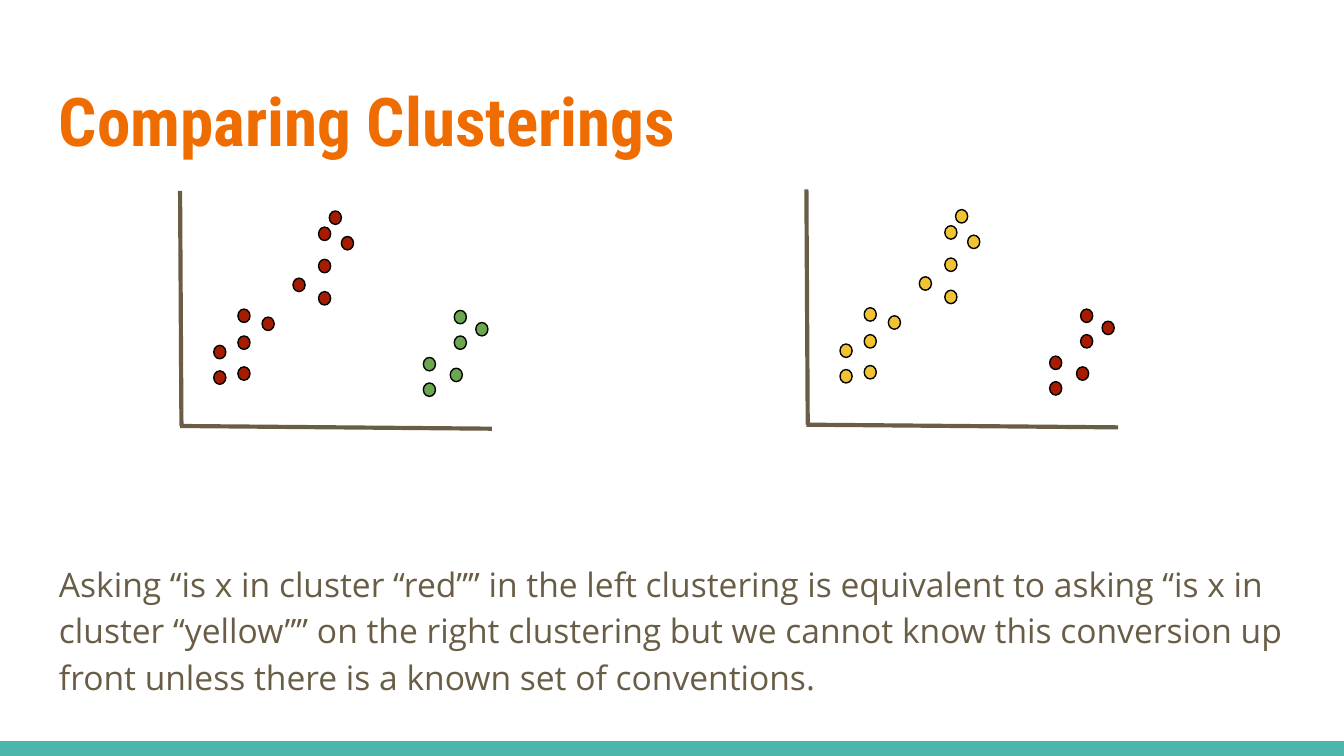
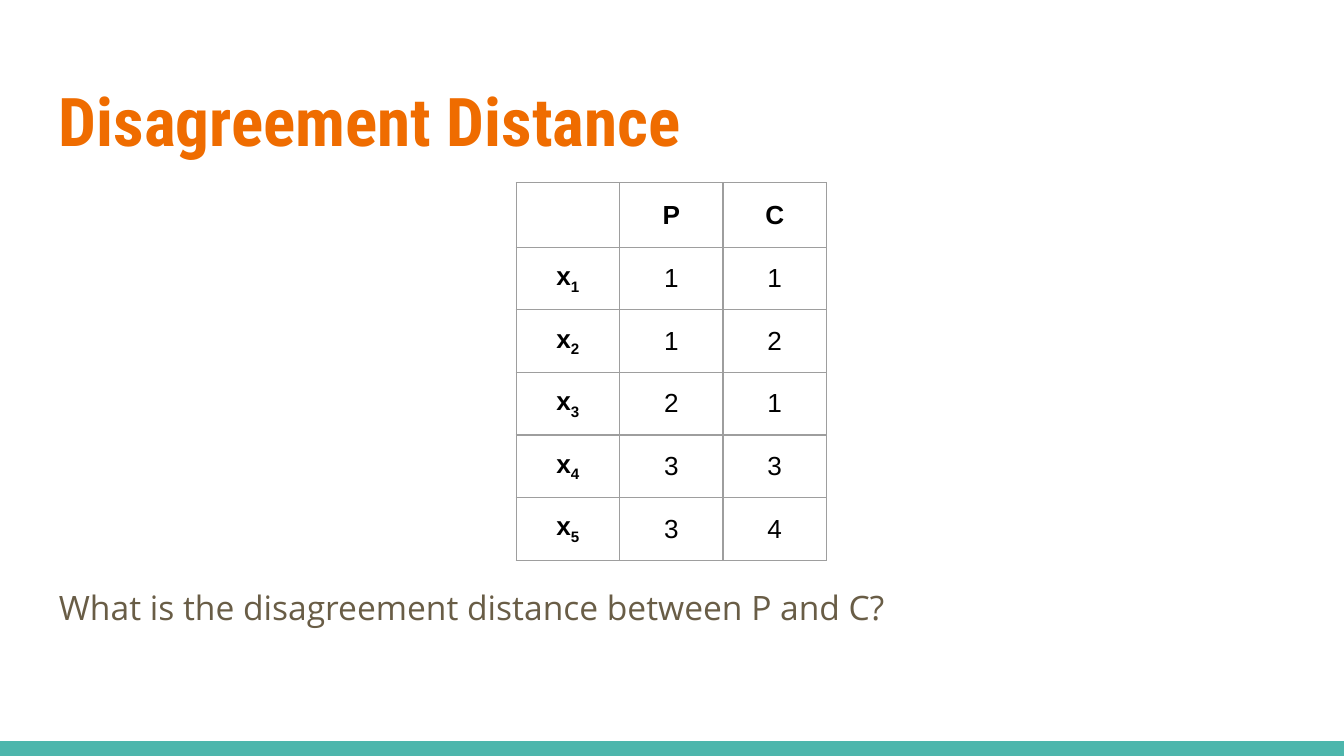
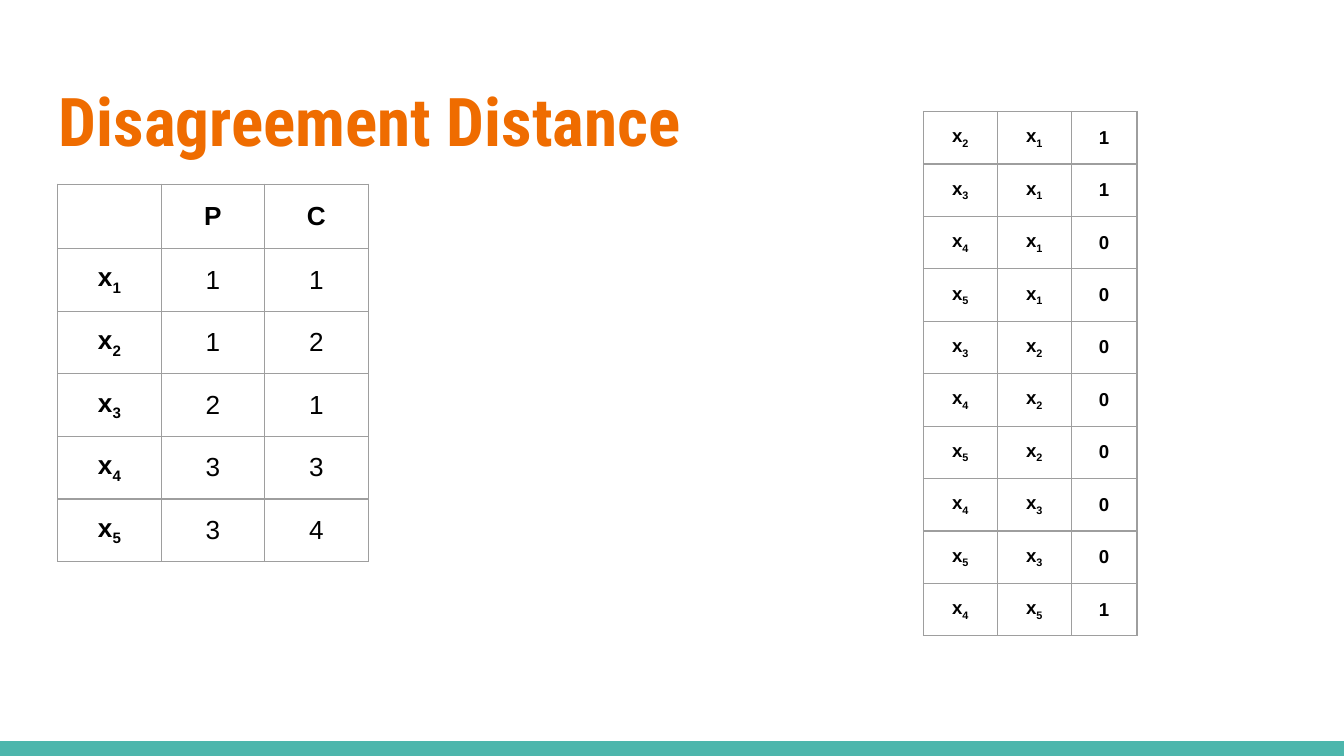
from lxml.etree import SubElement as Sub
from pptx import Presentation as Deck
from pptx.dml.color import RGBColor as RGB
from pptx.enum.shapes import MSO_CONNECTOR as LINK, MSO_SHAPE as FORM
from pptx.enum.text import MSO_ANCHOR as ANCHOR, PP_ALIGN as ALIGN
from pptx.oxml import parse_xml as to_xml
from pptx.oxml.ns import nsdecls, qn
from pptx.util import Inches, Pt

ORANGE = RGB(0xEF, 0x6C, 0x00)
BROWN = RGB(0x69, 0x5D, 0x46)
TEAL = RGB(0x4D, 0xB6, 0xAC)
RED = RGB(0xA6, 0x1C, 0x00)
GREEN = RGB(0x6A, 0xA8, 0x4F)
YELLOW = RGB(0xF1, 0xC2, 0x32)
BLACK = RGB(0, 0, 0)
GRAY = "9E9E9E"

COLS, ROWS = 100, 56.25  # grid of square units, ten to the inch

# Dot places, in grid units from the top of a plot's upright axis
LARGE = [(4.3, 13.1), (4.3, 8.8), (6.1, 9.4), (10.3, 2.7), (4.3, 10.8), (2.5, 11.5),
         (12, 3.4), (10.3, 5.1), (11.1, 1.5), (8.4, 6.5), (10.3, 7.5), (2.5, 13.4)]
SMALL = [(18.1, 12.4), (20.1, 13.2), (20.4, 10.8), (22, 9.8), (18.1, 14.3), (20.4, 8.9)]

LABELS = [["", "P", "C"], ["x1", "1", "1"], ["x2", "1", "2"],
          ["x3", "2", "1"], ["x4", "3", "3"], ["x5", "3", "4"]]
PAIRS = [["x2", "x1", "1"], ["x3", "x1", "1"], ["x4", "x1", "0"], ["x5", "x1", "0"],
         ["x3", "x2", "0"], ["x4", "x2", "0"], ["x5", "x2", "0"],
         ["x4", "x3", "0"], ["x5", "x3", "0"], ["x4", "x5", "1"]]


def unit(*sizes):
    return [Inches(size / 10) for size in sizes]


def pad(item):
    """Give a text frame or a cell the common inset."""
    item.margin_left = item.margin_right = Inches(0.1)
    item.margin_top = item.margin_bottom = Inches(0.1)


def style(run, face, size, color, bold=False):
    font = run.font
    font.name, font.size, font.bold = face, Pt(size), bold
    font.color.rgb = color


class Show:
    def __init__(self):
        self.deck = Deck()
        self.deck.slide_width, self.deck.slide_height = unit(COLS, ROWS)

    def page(self, title):
        self.slide = self.deck.slides.add_slide(self.deck.slide_layouts[6])
        self.shapes = self.slide.shapes
        self.form(FORM.RECTANGLE, 0, ROWS - 1.1, COLS, 1.1, TEAL)
        self.text(title, 4.9, 7.7, "Roboto Condensed", 36, ORANGE, True)

    def form(self, kind, x, y, w, h, color, edge=None):
        shape = self.shapes.add_shape(kind, *unit(x, y, w, h))
        shape.shadow.inherit = False
        shape.fill.solid()
        shape.fill.fore_color.rgb = color
        if edge is None:
            shape.line.fill.background()
        else:
            shape.line.color.rgb = edge
            shape.line.width = Pt(0.75)

    def text(self, words, y, h, face, size, color, bold=False):
        """Add a full-width text box and return its paragraph."""
        frame = self.shapes.add_textbox(*unit(3.4, y, 93.2, h)).text_frame
        frame.word_wrap = True
        pad(frame)
        frame.text = words
        para = frame.paragraphs[0]
        style(para.runs[0], face, size, color, bold)
        return para

    def body(self, words, y, h):
        para = self.text(words, y, h, "Open Sans", 18, BROWN)
        para.line_spacing = 1.15
        para.space_after = Pt(16)

    def line(self, *ends):
        link = self.shapes.add_connector(LINK.STRAIGHT, *unit(*ends))
        link.line.color.rgb = BROWN
        link.line.width = Pt(2.25)
        Sub(link._element.spPr, qn("a:effectLst"))

    def plot(self, x, y, large, small):
        """Draw two axes and both clusters in the given colours."""
        for color, spots in ((large, LARGE), (small, SMALL)):
            for dx, dy in spots:
                self.form(FORM.OVAL, x + dx, y + dy, 0.9, 1, color, BLACK)
        self.line(x, y, x + 0.1, y + 17.5)
        self.line(x, y + 17.5, x + 23.2, y + 17.7)

    def table(self, data, x, y, wide, high, size, strong=False):
        """Add a table; strong makes every cell bold."""
        frame = self.shapes.add_table(len(data), len(wide),
                                      *unit(x, y, sum(wide), sum(high)))
        grid = frame.table
        grid.first_row = grid.horz_banding = False
        for col, w in zip(grid.columns, unit(*wide)):
            col.width = w
        for row, h in zip(grid.rows, unit(*high)):
            row.height = h
        for r, words in enumerate(data):
            for c, word in enumerate(words):
                bold = strong or r == 0 or c == 0
                self.cell(grid.cell(r, c), word, size, bold)

    def cell(self, cell, word, size, bold):
        cell.fill.background()
        for i, side in enumerate(("lnL", "lnR", "lnT", "lnB")):
            cell._tc.tcPr.insert(i, to_xml(
                f'<a:{side} {nsdecls("a")} w="9525"><a:solidFill>'
                f'<a:srgbClr val="{GRAY}"/></a:solidFill></a:{side}>'))
        cell.vertical_anchor = ANCHOR.MIDDLE
        if not word:
            cell.margin_top = cell.margin_bottom = 0
            return
        pad(cell)
        para = cell.text_frame.paragraphs[0]
        para.alignment = ALIGN.CENTER
        for i, sign in enumerate(word):
            run = para.add_run()
            run.text = sign
            style(run, "Arial", size, BLACK, bold)
            if i:
                run.font._element.set("baseline", "-25000")

    def labels(self, x, y):
        self.table(LABELS, x, y, [7.7] * 3, [4.8] + [4.2] * 5, 14)


def main():
    show = Show()

    show.page("Comparing Clusterings")
    show.body("Asking “is x in cluster “red”” in the left clustering is equivalent to "
              "asking “is x in cluster “yellow”” on the right clustering but we cannot "
              "know this conversion up front unless there is a known set of conventions.",
              40.5, 11.5)
    show.plot(13.4, 14.2, RED, GREEN)
    show.plot(60, 14.1, YELLOW, RED)

    show.page("Disagreement Distance")
    show.body("What is the disagreement distance between P and C?", 42.2, 4.7)
    show.labels(38.4, 13.6)

    show.page("Disagreement Distance")
    show.labels(4.3, 13.7)
    show.table(PAIRS, 68.7, 8.3, [5.5, 5.5, 4.9], [2.9] * len(PAIRS), 10, True)

    show.deck.save("out.pptx")


if __name__ == "__main__":
    main()
